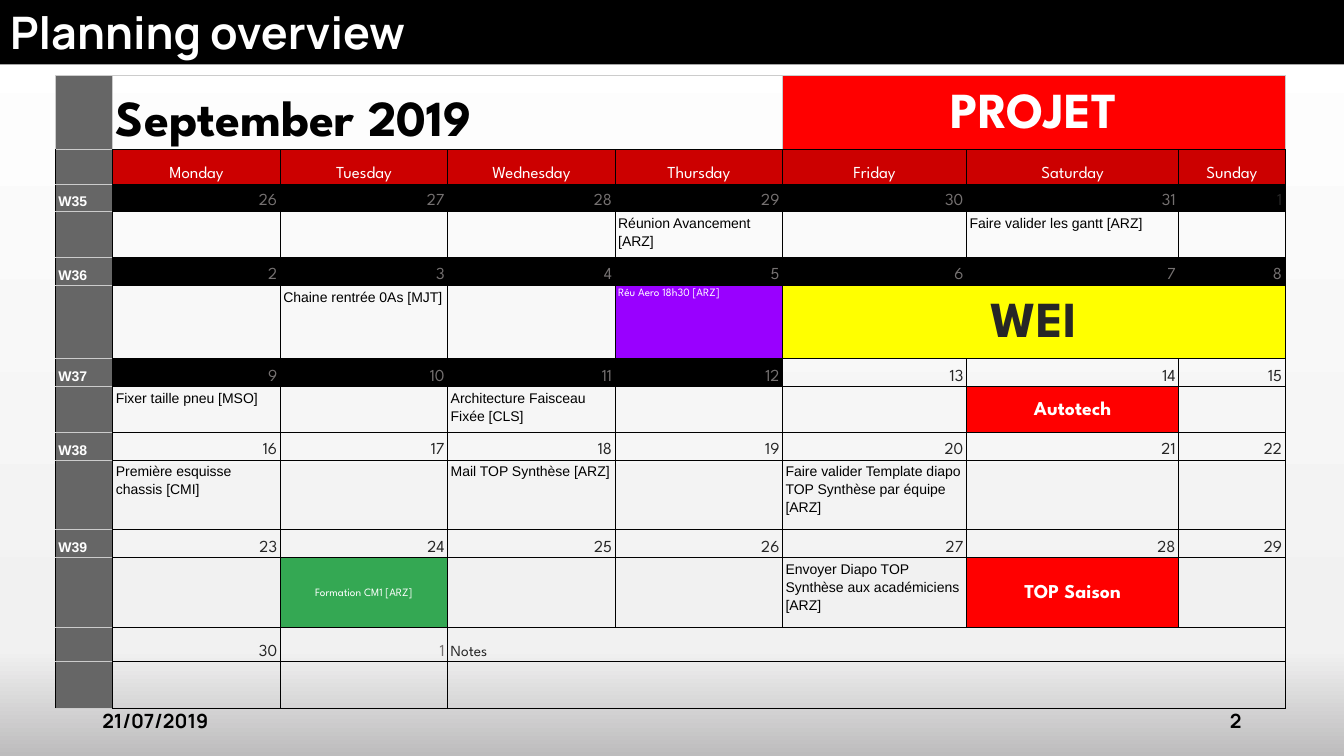
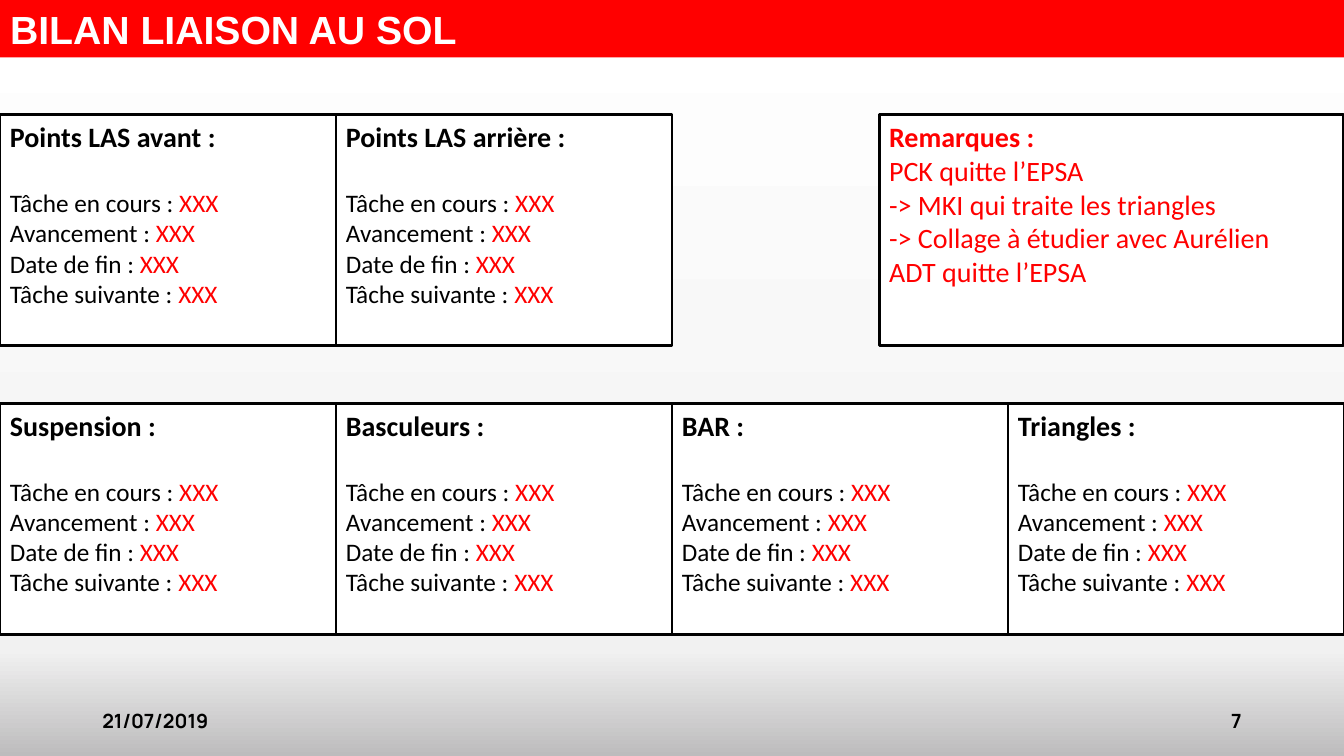
from copy import deepcopy

from lxml import etree
from pptx import Presentation
from pptx.dml.color import RGBColor
from pptx.enum.shapes import MSO_SHAPE as Shape
from pptx.enum.text import MSO_ANCHOR as Anchor, MSO_AUTO_SIZE as AutoSize, PP_ALIGN as Align
from pptx.oxml.ns import qn
from pptx.util import Pt

# Shared look
COLORS = {
    "black": "000000", "white": "FFFFFF", "red": "FF0000", "dark red": "CC0000",
    "grey": "666666", "rule": "CCCCCC", "ink": "262626", "dim": "757171",
    "purple": "9900FF", "yellow": "FFFF00", "green": "34A853",
}
BACKGROUND = [(0, "FFFFFF"), (0.86, "F1F1F1"), (1, "BDBCBD")]
PAGE_WIDTH, PAGE_HEIGHT = 960, 540
DATE = "21/07/2019"
SPARTAN, ARIAL, MANROPE, CALIBRI = "League Spartan", "Arial", "Manrope", "Calibri"

# Calendar content
WEEKDAYS = ["Monday", "Tuesday", "Wednesday", "Thursday", "Friday", "Saturday", "Sunday"]
DAYS = [*range(26, 32), *range(1, 31), 1]
PAST_DAYS = 18
DAY_COLORS = {6: "ink", 36: "dim"}
WEEKS = ["W35", "W36", "W37", "W38", "W39", ""]
# Position in DAYS: text, text style, fill, columns covered
EVENTS = {
    3: ("Réunion Avancement [ARZ]", "task", None, 1),
    5: ("Faire valider les gantt [ARZ]", "task", None, 1),
    8: ("Chaine rentrée 0As [MJT]", "task", None, 1),
    10: ("Réu Aero 18h30 [ARZ]", "meeting", "purple", 1),
    11: ("WEI", "weekend", "yellow", 3),
    14: ("Fixer taille pneu [MSO]", "task", None, 1),
    16: ("Architecture Faisceau Fixée [CLS]", "task", None, 1),
    19: ("Autotech", "milestone", "red", 1),
    21: ("Première esquisse chassis [CMI]", "task", None, 1),
    23: ("Mail TOP Synthèse [ARZ]", "task", None, 1),
    25: ("Faire valider Template diapo TOP Synthèse par équipe [ARZ]", "task", None, 1),
    29: ("Formation CM1 [ARZ]", "training", "green", 1),
    32: ("Envoyer Diapo TOP Synthèse aux académiciens [ARZ]", "task", None, 1),
    33: ("TOP Saison", "milestone", "red", 1),
}
# Size, font, colour, bold, alignment, anchor
CELL_STYLES = {
    "month": (36, SPARTAN, "black", True, Align.LEFT, Anchor.BOTTOM),
    "project": (36, SPARTAN, "white", True, Align.CENTER, Anchor.MIDDLE),
    "weekday": (12, SPARTAN, "white", False, Align.CENTER, Anchor.BOTTOM),
    "week": (10, ARIAL, "white", True, Align.LEFT, Anchor.BOTTOM),
    "ink": (12, SPARTAN, "ink", False, Align.RIGHT, Anchor.BOTTOM),
    "dim": (12, SPARTAN, "dim", False, Align.RIGHT, Anchor.BOTTOM),
    "notes": (11, SPARTAN, "ink", False, Align.LEFT, Anchor.BOTTOM),
    "task": (10, ARIAL, "black", False, Align.LEFT, Anchor.TOP),
    "meeting": (8, SPARTAN, "white", False, Align.LEFT, Anchor.TOP),
    "training": (8, SPARTAN, "white", False, Align.CENTER, Anchor.MIDDLE),
    "milestone": (14, SPARTAN, "white", True, Align.CENTER, Anchor.MIDDLE),
    "weekend": (36, SPARTAN, "ink", True, Align.CENTER, Anchor.MIDDLE),
}
COLUMN_WIDTHS = [41] + [119.6] * 4 + [131.4, 151.6, 76]
ROW_HEIGHTS = [52.8, 25, 19.4, 33, 19.8, 52.2, 19.8, 33, 19.4, 50, 19.8, 50, 24.4, 33.4]

# Status content: heading, column, row of the grid
STATUS_BOXES = [
    ("Points LAS avant :", 0, 0), ("Points LAS arrière :", 1, 0),
    ("Suspension :", 0, 1), ("Basculeurs :", 1, 1), ("BAR :", 2, 1), ("Triangles :", 3, 1),
]
STATUS_FIELDS = ["Tâche en cours : ", "Avancement : ", "Date de fin : ", "Tâche suivante : "]
REMARKS = ["Remarques :", "PCK quitte l’EPSA", "-> MKI qui traite les triangles",
           "-> Collage à étudier avec Aurélien", "ADT quitte l’EPSA"]
BOX_WIDTH, BOX_HEIGHT, BOX_TOPS = 240, 165, (82, 288)
REMARKS_LEFT = 628


def rgb(name):
    return RGBColor.from_string(COLORS[name])


def style(para, size, font, color, bold=False, align=Align.LEFT):
    para.alignment = align
    para.font.size, para.font.name, para.font.bold = Pt(size), font, bold
    para.font.color.rgb = rgb(color)


def paint_background(master):
    fill = master.background.fill
    fill.gradient()
    fill.gradient_angle = 270
    stop_list = master.element.find(".//" + qn("p:bg")).find(".//" + qn("a:gsLst"))
    stop_list.insert(1, deepcopy(stop_list[0]))
    for stop, (position, color) in zip(fill.gradient_stops, BACKGROUND):
        stop.position = position
        stop.color.rgb = RGBColor.from_string(color)


def add_page(deck, title, number, font, size, band, band_height):
    page = deck.slides.add_slide(deck.slide_layouts[5])
    heading = page.shapes.title
    heading.left, heading.top = Pt(0), Pt(0)
    heading.width, heading.height = Pt(PAGE_WIDTH), Pt(band_height)
    heading.fill.solid()
    heading.fill.fore_color.rgb = rgb(band)
    frame = heading.text_frame
    frame.text = title
    frame.auto_size, frame.vertical_anchor = AutoSize.NONE, Anchor.TOP
    style(frame.paragraphs[0], size, font, "white", True)
    for text, left, align in ((DATE, 66, Align.LEFT), (number, 678, Align.RIGHT)):
        frame = page.shapes.add_textbox(Pt(left), Pt(500.5), Pt(216), Pt(28.8)).text_frame
        frame.text = text
        frame.word_wrap, frame.vertical_anchor = True, Anchor.MIDDLE
        style(frame.paragraphs[0], 14, MANROPE, "black", True, align)
    return page


# Calendar
def set_borders(cell, left, right, top, bottom):
    properties = cell._tc.get_or_add_tcPr()
    for index, (side, color) in enumerate(zip("LRTB", (left, right, top, bottom))):
        line = etree.Element(qn("a:ln" + side), w=str(Pt(0.75)))
        fill = etree.SubElement(line, qn("a:solidFill"))
        etree.SubElement(fill, qn("a:srgbClr"), val=COLORS[color])
        properties.insert(index, line)


def fill_cell(table, row, column, text="", kind="task", fill=None, span=1):
    cell = table.cell(row, column)
    if span > 1:
        cell.merge(table.cell(row, column + span - 1))
    if fill:
        cell.fill.solid()
        cell.fill.fore_color.rgb = rgb(fill)
    cell.text = text
    size, font, color, bold, align, cell.vertical_anchor = CELL_STYLES[kind]
    para = cell.text_frame.paragraphs[0]
    para.line_spacing = 1.15
    style(para, size, font, color, bold, align)


def add_calendar(page):
    shape = page.shapes.add_table(len(ROW_HEIGHTS), len(COLUMN_WIDTHS), Pt(39.6), Pt(54),
                                  Pt(sum(COLUMN_WIDTHS)), Pt(sum(ROW_HEIGHTS)))
    table = shape.table
    table.first_row = table.horz_banding = False
    for column, width in zip(table.columns, COLUMN_WIDTHS):
        column.width = Pt(width)
    for row, height in zip(table.rows, ROW_HEIGHTS):
        row.height = Pt(height)

    # Every cell starts empty and ruled
    for r in range(len(ROW_HEIGHTS)):
        for c in range(len(COLUMN_WIDTHS)):
            cell = table.cell(r, c)
            cell.margin_left = cell.margin_right = Pt(2.2)
            cell.margin_top = cell.margin_bottom = Pt(1.4)
            cell.fill.background()
            side = "black" if r else "rule"
            top = "rule" if r == 0 or c == 0 else "black"
            set_borders(cell, side, side, top, "black" if c else "rule")
            fill_cell(table, r, c, fill=None if c else "grey")

    # Headings, then two rows a week: dates above events
    fill_cell(table, 0, 1, "September 2019", "month", span=4)
    fill_cell(table, 0, 5, "PROJET", "project", "red", 3)
    for c, weekday in enumerate(WEEKDAYS, 1):
        fill_cell(table, 1, c, weekday, "weekday", "dark red")
    for week, label in enumerate(WEEKS):
        fill_cell(table, 2 + 2 * week, 0, label, "week", "grey")
    for index, day in enumerate(DAYS):
        week, weekday = divmod(index, 7)
        past = index < PAST_DAYS
        kind = DAY_COLORS.get(index, "dim" if past else "ink")
        fill_cell(table, 2 + 2 * week, 1 + weekday, str(day), kind, "black" if past else None)
        if index in EVENTS:
            fill_cell(table, 3 + 2 * week, 1 + weekday, *EVENTS[index])
    fill_cell(table, 12, 3, "Notes", "notes", span=5)
    fill_cell(table, 13, 3, span=5)


# Status boxes
def add_box(page, left, top, width, heading, color):
    box = page.shapes.add_shape(Shape.RECTANGLE, Pt(left), Pt(top), Pt(width), Pt(BOX_HEIGHT))
    box.shadow.inherit = False
    box.fill.solid()
    box.fill.fore_color.rgb = rgb("white")
    box.line.color.rgb, box.line.width = rgb("black"), Pt(2)
    frame = box.text_frame
    frame.text = heading
    frame.vertical_anchor = Anchor.TOP
    style(frame.paragraphs[0], 20, CALIBRI, color, True)
    return frame


def add_status(page):
    for heading, column, row in STATUS_BOXES:
        frame = add_box(page, column * BOX_WIDTH, BOX_TOPS[row], BOX_WIDTH, heading, "black")
        for index, field in enumerate(STATUS_FIELDS):
            para = frame.add_paragraph()
            para.space_before = Pt(0 if index else 24.4)
            style(para, 18, CALIBRI, "black")
            para.add_run().text = field
            span = para.add_run()
            span.text = "XXX"
            span.font.color.rgb = rgb("red")
    frame = add_box(page, REMARKS_LEFT, BOX_TOPS[0], PAGE_WIDTH - REMARKS_LEFT, REMARKS[0], "red")
    for remark in REMARKS[1:]:
        para = frame.add_paragraph()
        para.text = remark
        style(para, 20, CALIBRI, "red")


def main():
    deck = Presentation()
    deck.slide_width, deck.slide_height = Pt(PAGE_WIDTH), Pt(PAGE_HEIGHT)
    paint_background(deck.slide_master)
    add_calendar(add_page(deck, "Planning overview", "2", MANROPE, 32, "black", 46))
    add_status(add_page(deck, "BILAN LIAISON AU SOL", "7", ARIAL, 28, "red", 41))
    deck.save("out.pptx")


if __name__ == "__main__":
    main()
